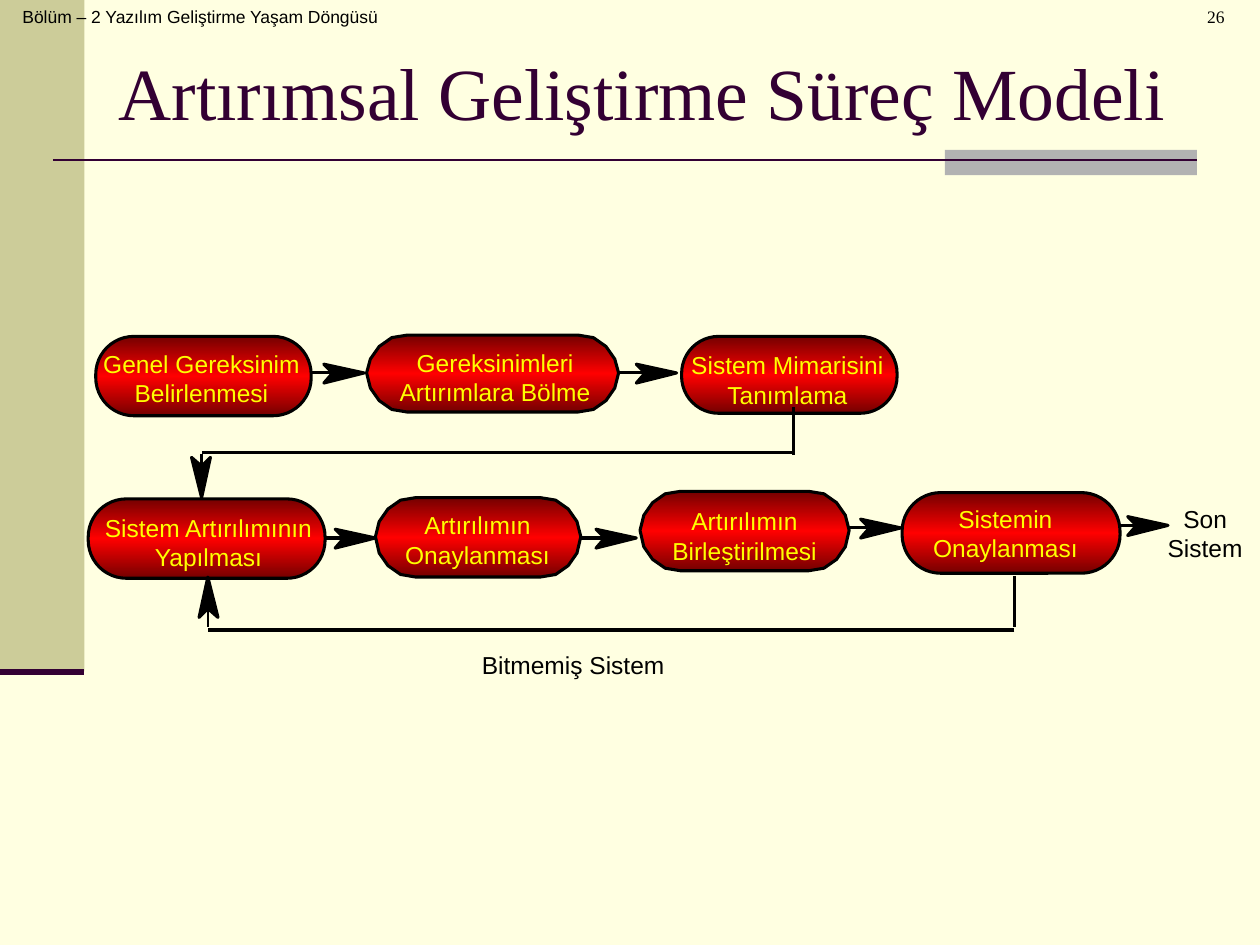
import copy

import lxml.etree
import pptx
import pptx.dml.color
import pptx.enum.shapes
import pptx.enum.text
import pptx.oxml.ns
import pptx.util

RGB = pptx.dml.color.RGBColor
CREAM = RGB(0xFF, 0xFF, 0xE1)
KHAKI = RGB(0xCC, 0xCC, 0x99)
GREY = RGB(0xB2, 0xB2, 0xB2)
PLUM = RGB(0x33, 0x00, 0x33)
BLACK = RGB(0x00, 0x00, 0x00)
YELLOW = RGB(0xFF, 0xFF, 0x00)
RED = RGB(0xFF, 0x00, 0x00)
DARK_RED = RGB(0x75, 0x00, 0x00)

SCALE = 9144  # EMU in one px, 100 px to the inch
ALIGN = pptx.enum.text.PP_ALIGN
ANCHOR = pptx.enum.text.MSO_ANCHOR
PRESET = pptx.enum.shapes.MSO_SHAPE


def emu(*lengths):
    return [pptx.util.Emu(length * SCALE) for length in lengths]


def write_text(frame, text, size=14, font="Arial", color=BLACK,
               align=ALIGN.CENTER, anchor=ANCHOR.TOP, indent=0):
    """Fill a text frame, one paragraph for each line of text."""
    frame.word_wrap = True
    frame.auto_size = pptx.enum.text.MSO_AUTO_SIZE.NONE
    frame.vertical_anchor = anchor
    for number, line in enumerate(text.split("\n")):
        paragraph = frame.add_paragraph() if number else frame.paragraphs[0]
        paragraph.alignment = align
        if indent:
            paragraph._p.get_or_add_pPr().set("marL", str(indent * SCALE))
        run = paragraph.add_run()
        run.text = line
        run.font.size = pptx.util.Pt(size)
        run.font.name = font
        run.font.color.rgb = color


class ProcessSlide:
    outline = 1.75

    def __init__(self, presentation):
        self.slide = presentation.slides.add_slide(presentation.slide_layouts[5])
        self.shapes = self.slide.shapes
        background = self.slide.background.fill
        background.solid()
        background.fore_color.rgb = CREAM

    def title(self, text, *box, **style):
        holder = self.shapes.title
        holder.left, holder.top, holder.width, holder.height = emu(*box)
        write_text(holder.text_frame, text, **style)

    def label(self, text, *box, **style):
        write_text(self.shapes.add_textbox(*emu(*box)).text_frame, text, **style)

    def band(self, color, *box):
        band = self.shapes.add_shape(PRESET.RECTANGLE, *emu(*box))
        band.shadow.inherit = False
        band.fill.solid()
        band.fill.fore_color.rgb = color
        band.line.fill.background()

    def line(self, *ends, color=BLACK, width=outline):
        line = self.shapes.add_connector(
            pptx.enum.shapes.MSO_CONNECTOR.STRAIGHT, *emu(*ends))
        line.line.color.rgb = color
        line.line.width = pptx.util.Pt(width)
        lxml.etree.SubElement(line._element.spPr, pptx.oxml.ns.qn("a:effectLst"))

    def polygon(self, points):
        builder = self.shapes.build_freeform(*points[0], scale=SCALE)
        builder.add_line_segments(points[1:], close=True)
        return self.outlined(builder.convert_to_shape())

    def outlined(self, shape):
        shape.shadow.inherit = False
        shape.line.color.rgb = BLACK
        shape.line.width = pptx.util.Pt(self.outline)
        return shape

    def glow(self, shape):
        """Shade from dark red through red and back, top to bottom."""
        shape.fill.gradient()
        shape.fill.gradient_angle = 90
        edge, middle = shape.fill.gradient_stops
        edge.color.rgb, middle.color.rgb = DARK_RED, RED
        edge.position, middle.position = 0, 0.5
        stops = shape._element.spPr.find(".//" + pptx.oxml.ns.qn("a:gsLst"))
        last = copy.deepcopy(stops[0])
        last.set("pos", "100000")
        stops.append(last)

    def round_step(self, *box):
        step = self.shapes.add_shape(PRESET.ROUNDED_RECTANGLE, *emu(*box))
        step.adjustments[0] = 0.48
        self.glow(self.outlined(step))

    def faceted_step(self, left, top, width, height):
        """Step whose ends are made of short straight facets."""
        upper = [(32, 0), (20, 2), (10, 9), (3, 19)]
        end = upper + [(0, height // 2)]
        end += [(x, height - y) for x, y in reversed(upper)]
        left_end = [(left + x, top + y) for x, y in end]
        right_end = [(left + width - x, top + y) for x, y in reversed(end)]
        self.glow(self.polygon(left_end + right_end))

    def arrow_head(self, x, y, dx, dy):
        """Notched head with its tip at x, y, pointing along dx, dy."""
        head = [(0, 0), (-32, 8), (-25, 0), (-32, -7)]
        shape = self.polygon([(x + a * dx - b * dy, y + a * dy + b * dx)
                              for a, b in head])
        shape.fill.solid()
        shape.fill.fore_color.rgb = BLACK


def main():
    presentation = pptx.Presentation()
    presentation.slide_width, presentation.slide_height = emu(1000, 750)
    page = ProcessSlide(presentation)

    page.band(KHAKI, 0, 0, 67, 533)
    page.band(GREY, 750, 119, 200, 20)
    page.line(42, 127, 950, 127, color=PLUM, width=1.5)
    page.line(0, 533, 67, 533, color=PLUM, width=3.5)
    page.label("Bölüm – 2 Yazılım Geliştirme Yaşam Döngüsü",
               8, 0, 327, 50, size=10, align=ALIGN.LEFT)
    page.title("Artırımsal Geliştirme Süreç Modeli", 84, 30, 880, 85,
               size=42, font="Times New Roman", color=PLUM,
               align=ALIGN.LEFT, anchor=ANCHOR.MIDDLE)

    for box in [(76, 267, 171, 63), (541, 267, 171, 61),
                (70, 396, 188, 63), (716, 391, 173, 64)]:
        page.round_step(*box)
    for box in [(291, 266, 200, 61), (298, 395, 163, 63), (508, 390, 166, 63)]:
        page.faceted_step(*box)

    # Arrows between neighbouring steps: start, tip, height
    for start, tip, y in [(246, 289, 296), (491, 537, 296), (257, 298, 427),
                          (461, 505, 427), (673, 715, 419), (888, 927, 417)]:
        page.line(start, y, tip - 20, y)
        page.arrow_head(tip, y, 1, 0)

    # Path down to the second row, then the loop back for unfinished systems
    page.line(629, 359, 160, 359)
    page.line(805, 500, 165, 500)
    for x, top, bottom in [(630, 323, 361), (160, 360, 385),
                           (805, 457, 498), (165, 473, 498)]:
        page.line(x, top, x, bottom, width=1.5)
    page.arrow_head(160, 395, 0, 1)
    page.arrow_head(165, 458, 0, -1)

    for text, *box in [
            ("Genel Gereksinim\nBelirlenmesi", 70, 272, 180, 50),
            ("Gereksinimleri\nArtırımlara Bölme", 303, 271, 180, 50),
            ("Sistem Mimarisini Tanımlama", 535, 273, 180, 50),
            ("Sistem Artırılımının\nYapılması", 70, 402, 191, 76),
            ("Artırılımın\nOnaylanması", 289, 400, 180, 60),
            ("Artırılımın\nBirleştirilmesi", 501, 397, 180, 69),
            ("Sistemin Onaylanması", 708, 395, 180, 62)]:
        page.label(text, *box, color=YELLOW)
    page.label("Son\nSistem", 913, 395, 87, 50)
    page.label("Bitmemiş Sistem", 365, 511, 180, 37)
    page.label("26", 894, 0, 118, 50, size=10, font="Times New Roman", indent=24)

    presentation.save("out.pptx")


if __name__ == "__main__":
    main()
